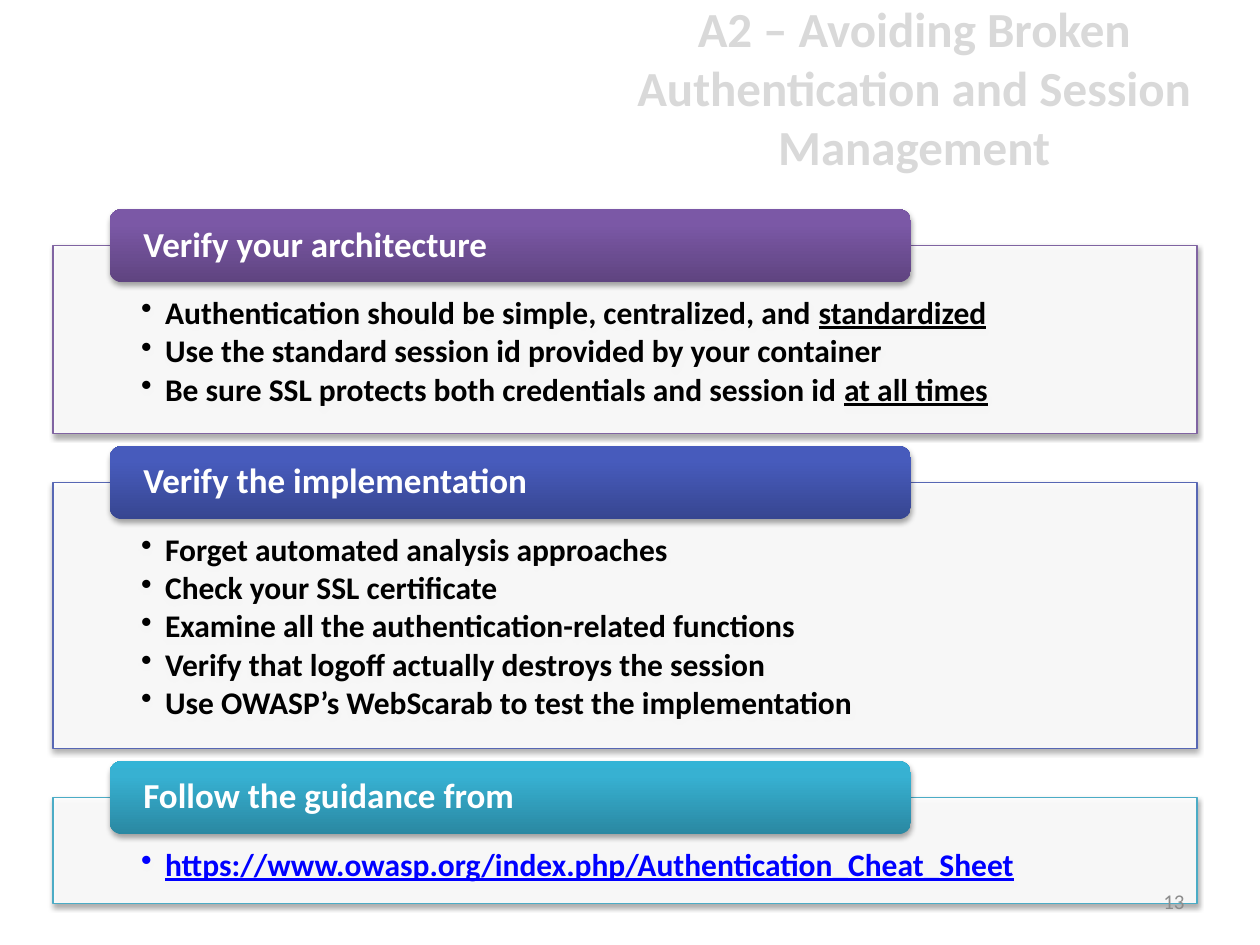
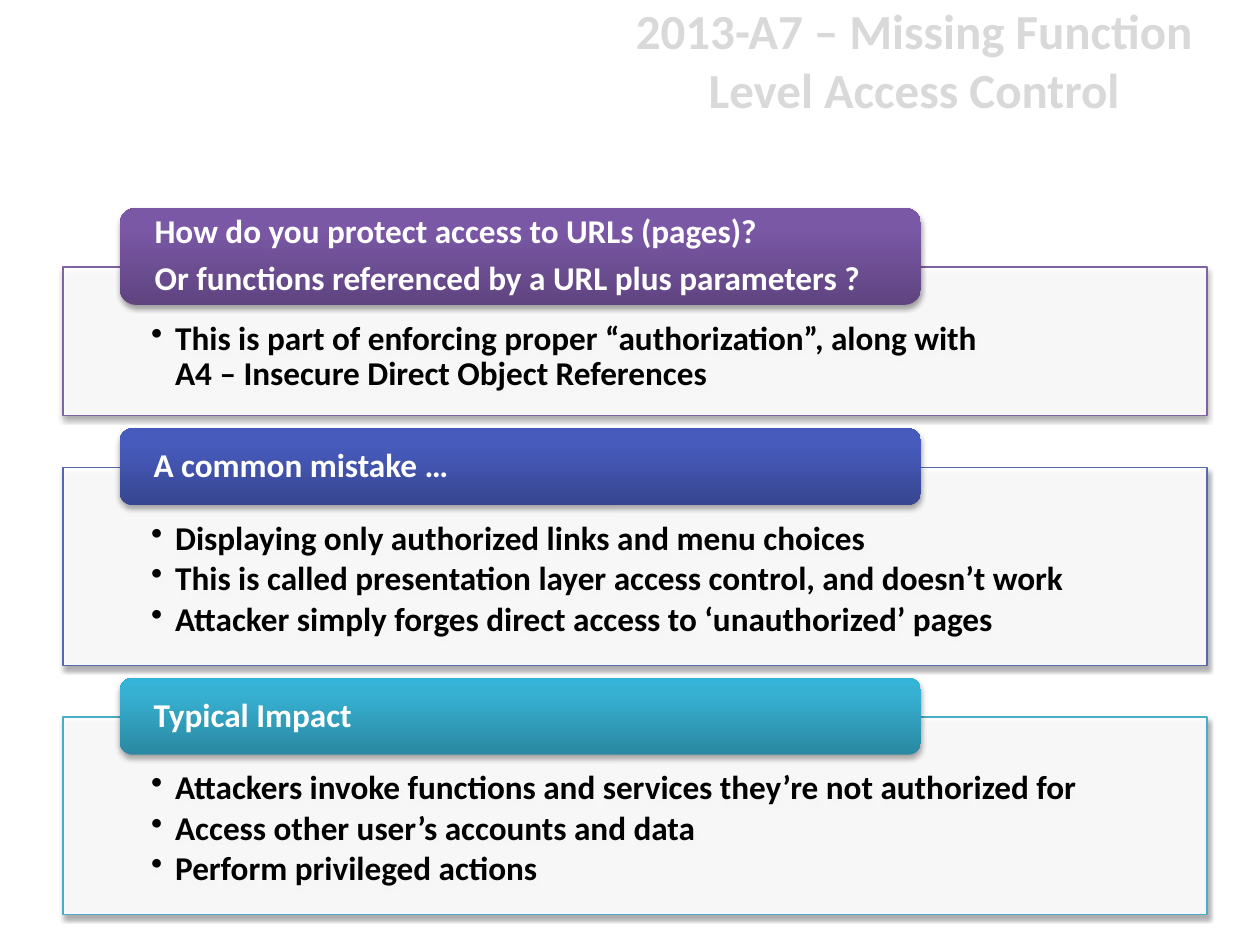
"""Builds two security slides with titled, overlapping header and bullet panels."""
from lxml.etree import SubElement
from pptx import Presentation
from pptx.dml.color import RGBColor
from pptx.enum.shapes import MSO_SHAPE as SHAPE
from pptx.enum.text import MSO_ANCHOR as ANCHOR, MSO_AUTO_SIZE as AUTO, PP_ALIGN as ALIGN
from pptx.oxml.ns import qn
from pptx.util import Pt

PX = 9144
FONT = "Calibri"
WHITE, BLACK, LINK = "FFFFFF", "000000", "0000FF"
TITLE, PAGE = "D9D9D9", "8C8C8C"
THEMES = [
    ("8064A2", ("5F4480", "7B58A6", "7C57A8")),
    ("5767B4", ("374691", "475BBC", "455ABF")),
    ("4BACC6", ("2A88A2", "37B1D2", "34B4D6")),
]
STOPS = (0, 80, 100)
PANEL_W, HEAD_W, HEAD_DX = 908, 636, 45
LINE_SPACING = 0.9


def px(*values):
    return [v * PX for v in values]


def rgb(value):
    return RGBColor.from_string(value)


class Deck:
    def __init__(self):
        self.prs = Presentation()
        self.prs.slide_width, self.prs.slide_height = px(1000, 750)
        self.s = None

    def slide(self, title, top):
        self.s = self.prs.slides.add_slide(self.prs.slide_layouts[5])
        sp = self.s.shapes.title
        sp.left, sp.top, sp.width, sp.height = px(467, top, 517, 78)
        tf = self.frame(sp, (10, 5, 10, 5), ANCHOR.MIDDLE)
        p = tf.paragraphs[0]
        p.alignment = ALIGN.CENTER
        self.run(p, title, 28, TITLE)

    def frame(self, sp, insets, anchor):
        tf = sp.text_frame
        tf.word_wrap, tf.auto_size = True, AUTO.NONE
        tf.vertical_anchor = anchor
        tf.margin_left, tf.margin_top, tf.margin_right, tf.margin_bottom = px(*insets)
        return tf

    def run(self, p, text, size, color, bold=True, underline=False):
        r = p.add_run()
        r.text = text
        f = r.font
        f.name, f.size, f.bold = FONT, Pt(size), bold
        f.color.rgb = rgb(color)
        if underline:
            f.underline = True

    def paragraphs(self, tf, count, size, after):
        for i in range(count):
            p = tf.paragraphs[0] if i == 0 else tf.add_paragraph()
            p.alignment = ALIGN.LEFT
            p.line_spacing = LINE_SPACING
            p.space_after = Pt(round(size * after * LINE_SPACING, 1))
            yield p

    def bullet(self, p):
        pPr = p._p.get_or_add_pPr()
        pPr.set("marL", str(19 * PX))
        pPr.set("indent", str(-19 * PX))
        SubElement(pPr, qn("a:buChar"), char="•")

    def shadow(self, sp):
        sp.shadow.inherit = False
        effects = sp._element.spPr.find(qn("a:effectLst"))
        shade = SubElement(effects, qn("a:outerShdw"), blurRad=str(Pt(3.1)), dist=str(Pt(1.8)),
                           dir="5400000", rotWithShape="0")
        color = SubElement(shade, qn("a:srgbClr"), val=BLACK)
        SubElement(color, qn("a:alpha"), val="35000")

    def shape(self, kind, *box):
        sp = self.s.shapes.add_shape(kind, *px(*box))
        self.shadow(sp)
        return sp

    def panel(self, x, y, h, border, items, size, insets):
        sp = self.shape(SHAPE.RECTANGLE, x, y, PANEL_W, h)
        sp.fill.solid()
        sp.fill.fore_color.rgb = rgb(WHITE)
        color = sp._element.spPr.find(qn("a:solidFill")).find(qn("a:srgbClr"))
        SubElement(color, qn("a:alpha"), val="90000")
        sp.line.color.rgb = rgb(border)
        sp.line.width = Pt(0.75)
        tf = self.frame(sp, insets, ANCHOR.TOP)
        for p, item in zip(self.paragraphs(tf, len(items), size, 0.15), items):
            self.bullet(p)
            plain, marked = item if isinstance(item, tuple) else (item, "")
            for i, line in enumerate(plain.split("\n") if plain else []):
                if i:
                    p.add_line_break()
                self.run(p, line, size, BLACK)
            if marked:
                self.run(p, marked, size, BLACK if plain else LINK, underline=True)

    def header(self, x, y, h, colors, lines, size):
        sp = self.shape(SHAPE.ROUNDED_RECTANGLE, x, y, HEAD_W, h)
        sp.line.fill.background()
        sp.fill.gradient()
        sp.fill.gradient_angle = 90
        stops = sp._element.spPr.find(qn("a:gradFill")).find(qn("a:gsLst"))
        for old in list(stops):
            stops.remove(old)
        for pos, color in zip(STOPS, colors):
            gs = SubElement(stops, qn("a:gs"), pos=str(pos * 1000))
            SubElement(gs, qn("a:srgbClr"), val=color)
        tf = self.frame(sp, (24, 0, 24, 0), ANCHOR.MIDDLE)
        for p, line in zip(self.paragraphs(tf, len(lines), size, 0.35), lines):
            self.run(p, line, size, WHITE)

    def sections(self, x, y, lap, insets, head_size, size, groups):
        for (border, colors), (head_h, panel_h, lines, items) in zip(THEMES, groups):
            top = y + head_h - lap
            self.panel(x, top, panel_h, border, items, size, insets)
            self.header(x + HEAD_DX, y, head_h, colors, lines, head_size)
            y = top + panel_h + 10

    def page_number(self, number):
        sp = self.s.shapes.add_textbox(*px(717, 695, 233, 40))
        p = self.frame(sp, (10, 5, 10, 5), ANCHOR.MIDDLE).paragraphs[0]
        p.alignment = ALIGN.RIGHT
        self.run(p, number, 12, PAGE, bold=False)


def main():
    deck = Deck()

    deck.slide("A2 – Avoiding Broken Authentication and Session Management", 30)
    deck.sections(42, 166, 29, (70, 41, 70, 14), 20, 18, [
        (58, 149, ["Verify your architecture"], [
            ("Authentication should be simple, centralized, and ", "standardized"),
            "Use the standard session id provided by your container",
            ("Be sure SSL protects both credentials and session id ", "at all times"),
        ]),
        (58, 211, ["Verify the implementation"], [
            "Forget automated analysis approaches",
            "Check your SSL certificate",
            "Examine all the authentication-related functions",
            "Verify that logoff actually destroys the session",
            "Use OWASP’s WebScarab to test the implementation",
        ]),
        (58, 84, ["Follow the guidance from"], [
            ("", "https://www.owasp.org/index.php/Authentication_Cheat_Sheet"),
        ]),
    ])
    deck.page_number("13")

    deck.slide("2013-A7 – Missing Function Level Access Control", 8)
    deck.sections(50, 165, 30, (70, 43, 70, 15), 19, 19, [
        (77, 118, ["How do you protect access to URLs (pages)?",
                   "Or functions referenced by a URL plus parameters ?"], [
            "This is part of enforcing proper “authorization”, along with \n"
            "A4 – Insecure Direct Object References",
        ]),
        (61, 157, ["A common mistake …"], [
            "Displaying only authorized links and menu choices",
            "This is called presentation layer access control, and doesn’t work",
            "Attacker simply forges direct access to ‘unauthorized’ pages",
        ]),
        (61, 157, ["Typical Impact"], [
            "Attackers invoke functions and services they’re not authorized for",
            "Access other user’s accounts and data",
            "Perform privileged actions",
        ]),
    ])

    deck.prs.save("out.pptx")


if __name__ == "__main__":
    main()
